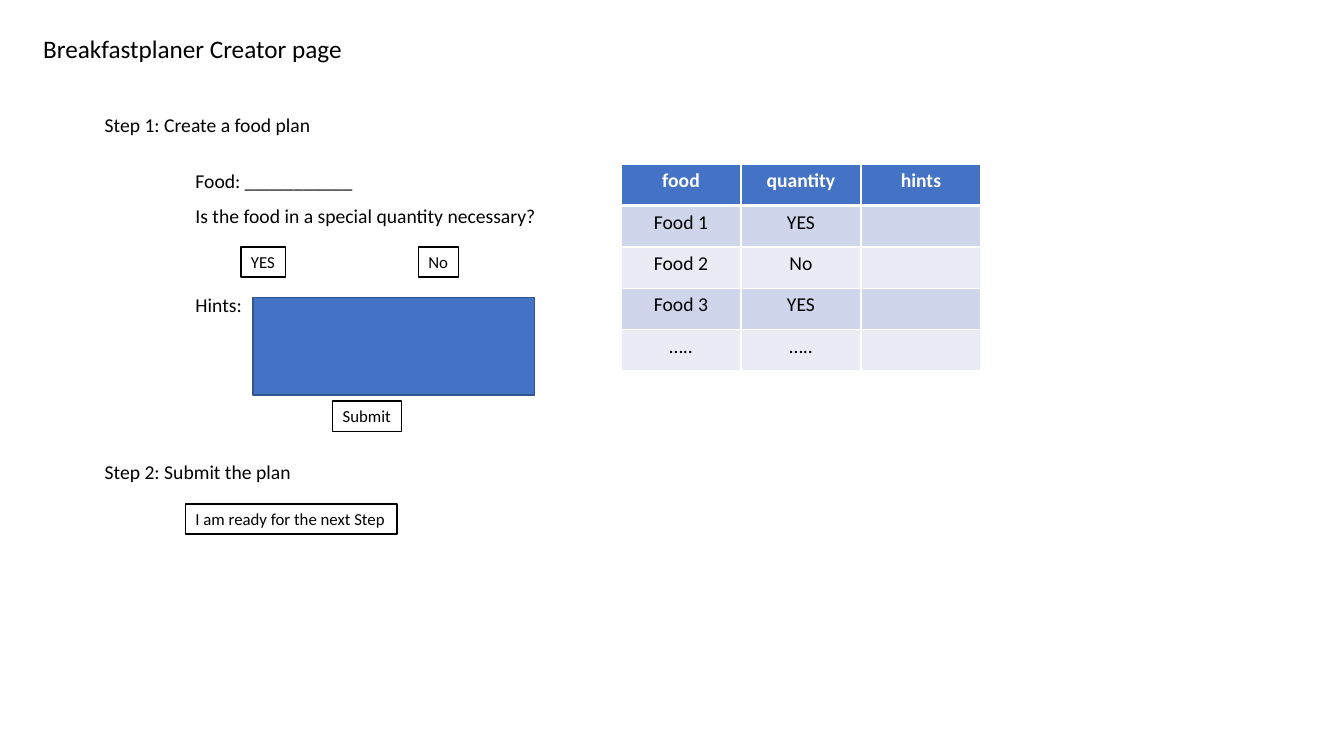
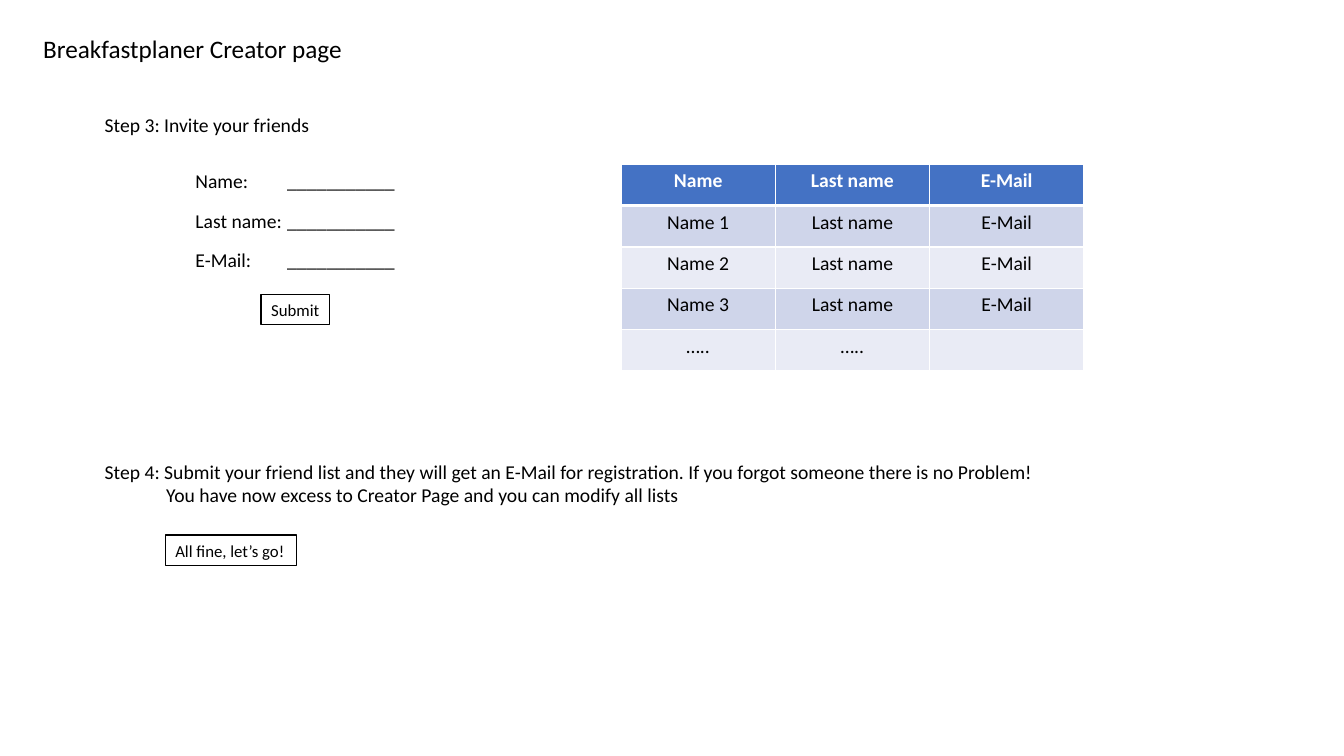
from lxml import etree
from pptx import Presentation, util as u
from pptx.dml.color import RGBColor
from pptx.enum import shapes, text
from pptx.oxml import ns

Inches, Pt = u.Inches, u.Pt
FONT = "Calibri"
COLORS = {"ink": "000000", "paper": "FFFFFF", "accent": "4472C4",
          "accent_edge": "325491", "band_dark": "CFD5EA", "band_light": "E9EBF5"}
HEADING_LEFT, FIELD_LEFT = 0.94, 1.84
LINE_HEIGHT, BUTTON_HEIGHT, ROW_HEIGHT = 0.34, 0.3, 0.41
ELLIPSIS = "\u2026.."
BLANK = "_" * 11


def color(name):
    return RGBColor.from_string(COLORS[name])


def style(paragraph, size, ink="ink", bold=False):
    font = paragraph.font
    font.name, font.size, font.bold = FONT, Pt(size), bold
    font.color.rgb = color(ink)


def fill_text(shape, lines, size):
    frame = shape.text_frame
    frame.word_wrap = True
    frame.margin_right = 0
    frame.text = "\n".join(lines)
    for paragraph in frame.paragraphs:
        paragraph.alignment = text.PP_ALIGN.LEFT
        style(paragraph, size)
    return frame


def add_label(slide, left, top, width, *lines, size=14, height=LINE_HEIGHT):
    box = slide.shapes.add_textbox(Inches(left), Inches(top), Inches(width), Inches(height))
    return fill_text(box, lines, size)


def add_box(slide, left, top, width, height, fill="paper", line="ink"):
    shape = slide.shapes.add_shape(shapes.MSO_SHAPE.RECTANGLE, Inches(left), Inches(top),
                                   Inches(width), Inches(height))
    shape.shadow.inherit = False
    shape.fill.solid()
    shape.fill.fore_color.rgb = color(fill)
    shape.line.color.rgb = color(line)
    shape.line.width = Pt(1)
    return shape


def add_button(slide, left, top, width, caption):
    fill_text(add_box(slide, left, top, width, BUTTON_HEIGHT), [caption], 12)


def add_blank_field(slide, left, top, width, caption):
    """A caption followed by a blank line that starts at a tab stop."""
    frame = add_label(slide, left, top, width, f"{caption}\t{BLANK}")
    properties = frame.paragraphs[0]._p.get_or_add_pPr()
    tabs = etree.Element(ns.qn("a:tabLst"))
    etree.SubElement(tabs, ns.qn("a:tab"), pos=str(Inches(0.91)), algn="l")
    properties.insert(0, tabs)


def set_borders(cell, top, bottom):
    properties = cell._tc.get_or_add_tcPr()
    for side, width in (("L", 1), ("R", 1), ("T", top), ("B", bottom)):
        line = etree.SubElement(properties, ns.qn(f"a:ln{side}"), w=str(Pt(width)))
        solid = etree.SubElement(line, ns.qn("a:solidFill"))
        etree.SubElement(solid, ns.qn("a:srgbClr"), val=COLORS["paper"])


def add_list_table(slide, left, top, column_width, rows):
    columns = len(rows[0])
    table = slide.shapes.add_table(len(rows), columns, Inches(left), Inches(top),
                                   Inches(column_width * columns),
                                   Inches(ROW_HEIGHT * len(rows))).table
    table.first_row = table.horz_banding = False
    for column in table.columns:
        column.width = Inches(column_width)
    for row_index, row in enumerate(rows):
        header = row_index == 0
        band = "accent" if header else ("band_light", "band_dark")[row_index % 2]
        for column_index, value in enumerate(row):
            cell = table.cell(row_index, column_index)
            set_borders(cell, 3 if row_index == 1 else 1, 3 if header else 1)
            cell.fill.solid()
            cell.fill.fore_color.rgb = color(band)
            cell.text = value
            paragraph = cell.text_frame.paragraphs[0]
            paragraph.alignment = text.PP_ALIGN.CENTER
            style(paragraph, 14, "paper" if header else "ink", header)


def add_page(presentation):
    slide = presentation.slides.add_slide(presentation.slide_layouts[6])
    add_label(slide, 0.33, 0.28, 3.2, "Breakfastplaner Creator page", size=18, height=0.4)
    return slide


def build_food_page(presentation):
    slide = add_page(presentation)

    # Step 1: food form
    add_label(slide, HEADING_LEFT, 1.07, 2.26, "Step 1: Create a food plan")
    add_label(slide, FIELD_LEFT, 1.63, 1.78, f"Food: {BLANK}")
    add_label(slide, FIELD_LEFT, 1.97, 3.61, "Is the food in a special quantity necessary?")
    add_button(slide, 2.39, 2.45, 0.44, "YES")
    add_button(slide, 4.15, 2.45, 0.4, "No")
    add_label(slide, FIELD_LEFT, 2.86, 0.67, "Hints:")
    add_box(slide, 2.51, 2.95, 2.79, 0.97, "accent", "accent_edge")
    add_button(slide, 3.3, 3.98, 0.68, "Submit")

    # Food list
    add_list_table(slide, 6.16, 1.63, 1.19, [
        ("food", "quantity", "hints"),
        ("Food 1", "YES", ""),
        ("Food 2", "No", ""),
        ("Food 3", "YES", ""),
        (ELLIPSIS, ELLIPSIS, "")])

    # Step 2: confirmation
    add_label(slide, HEADING_LEFT, 4.51, 2.07, "Step 2: Submit the plan")
    add_button(slide, FIELD_LEFT, 5, 2.1, "I am ready for the next Step")


def build_friends_page(presentation):
    slide = add_page(presentation)

    # Step 3: invitation form
    add_label(slide, HEADING_LEFT, 1.07, 2.25, "Step 3: Invite your friends")
    for index, caption in enumerate(("Name:", "Last name:", "E-Mail:")):
        add_blank_field(slide, FIELD_LEFT, 1.63 + 0.39 * index, 2.2, caption)
    add_button(slide, 2.59, 2.92, 0.68, "Submit")

    # Friend list
    add_list_table(slide, 6.16, 1.63, 1.53, [
        ("Name", "Last name", "E-Mail"),
        *((f"Name {number}", "Last name", "E-Mail") for number in range(1, 4)),
        (ELLIPSIS, ELLIPSIS, "")])

    # Step 4: confirmation
    frame = add_label(
        slide, HEADING_LEFT, 4.51, 9.49,
        "Step 4: Submit your friend list and they will get an E-Mail for registration. "
        "If you forgot someone there is no Problem!",
        "You have now excess to Creator Page and you can modify all lists", height=0.57)
    frame.paragraphs[1]._p.get_or_add_pPr().set("marL", str(Inches(0.61)))
    add_button(slide, 1.64, 5.31, 1.3, "All fine, let\u2019s go!")


presentation = Presentation()
presentation.slide_width, presentation.slide_height = Inches(13.33), Inches(7.5)
build_food_page(presentation)
build_friends_page(presentation)
presentation.save("out.pptx")
